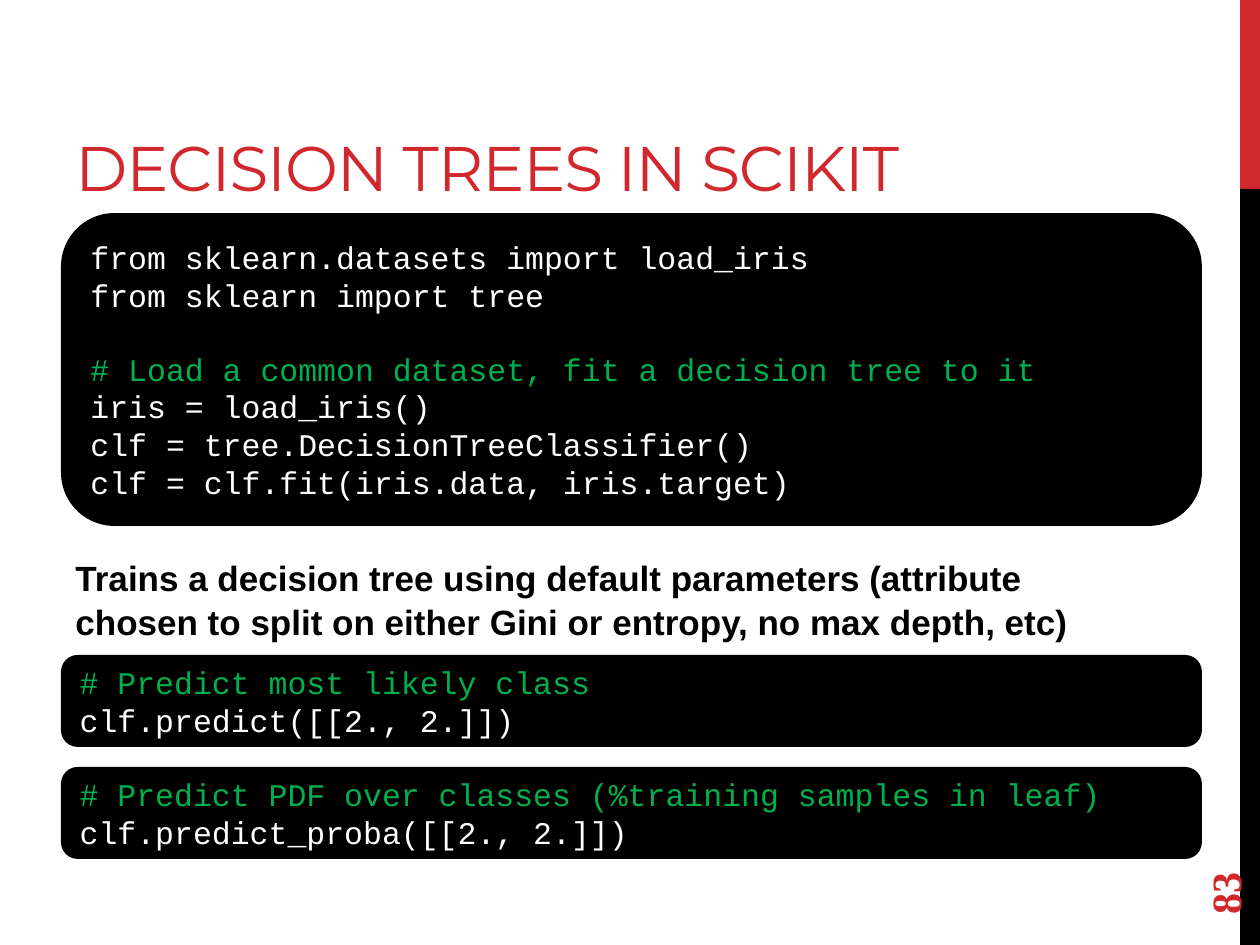
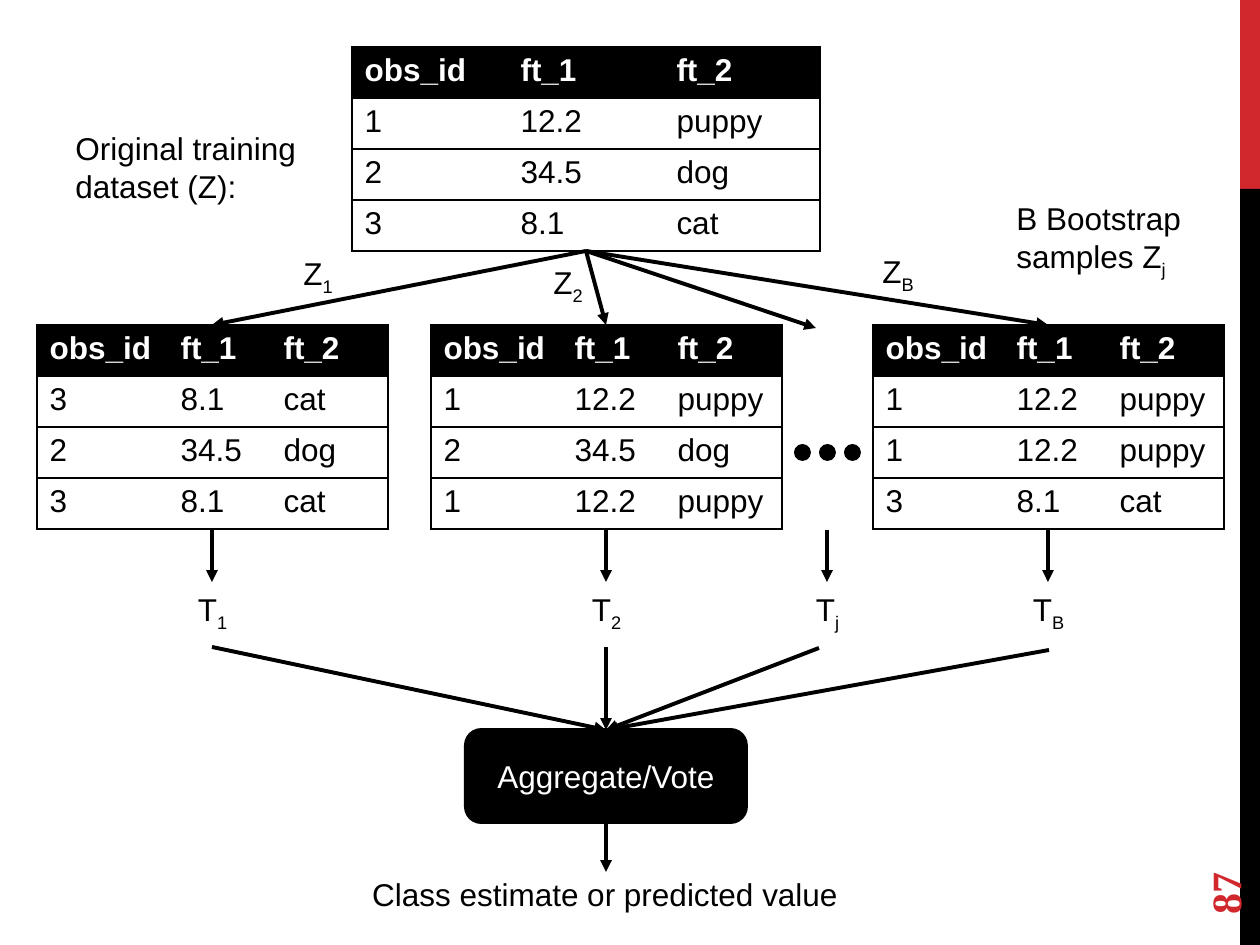
"""Build two lecture slides: decision trees in code and a bootstrap aggregation diagram."""
from dataclasses import dataclass

from lxml.etree import SubElement
from pptx import Presentation
from pptx.dml.color import RGBColor
from pptx.enum.shapes import MSO_CONNECTOR, MSO_SHAPE
from pptx.enum.text import MSO_ANCHOR, PP_ALIGN
from pptx.oxml.ns import qn
from pptx.util import Emu, Pt


@dataclass(frozen=True)
class Theme:
    red: str = "D1282E"
    black: str = "000000"
    white: str = "FFFFFF"
    green: str = "00B050"
    body: str = "Arial"
    code: str = "Courier New"
    heading: str = "Montserrat"
    numeral: str = "Times New Roman"
    title_size: int = 36
    number_size: int = 24
    lead_size: int = 20
    text_size: int = 18
    code_line: float = 20.4
    stroke: float = 2.25
    border: int = 1


THEME = Theme()
PX_PER_INCH = 126
SLIDE_SIZE = (1260, 945)
BANDS = [((1240, 0, 20, 189), THEME.red), ((1240, 189, 20, 756), THEME.black)]

TITLE = "DECISION TREES IN SCIKIT"
LEAD = ("Trains a decision tree using default parameters (attribute chosen "
        "to split on either Gini or entropy, no max depth, etc)")
CODE_LEFT, CODE_WIDTH = 63, 1137
CODE_PANELS = [
    (215, 309, """from sklearn.datasets import load_iris
from sklearn import tree

# Load a common dataset, fit a decision tree to it
iris = load_iris()
clf = tree.DecisionTreeClassifier()
clf = clf.fit(iris.data, iris.target)"""),
    (657, 88, """# Predict most likely class
clf.predict([[2., 2.]])"""),
    (769, 88, """# Predict PDF over classes (%training samples in leaf)
clf.predict_proba([[2., 2.]])"""),
]

HEADER = ("obs_id", "ft_1", "ft_2")
OBSERVATIONS = {1: ("1", "12.2", "puppy"), 2: ("2", "34.5", "dog"), 3: ("3", "8.1", "cat")}
ROW_HEIGHT = 51
DATASET_LEFT, DATASET_TOP, DATASET_COLUMNS = 352, 47, (156, 156, 156)
SAMPLE_TOP, SAMPLE_COLUMNS = 325, (131, 103, 117)
SAMPLES = [
    (37, (3, 2, 3)),
    (431, (1, 2, 1)),
    (873, (1, 1, 3)),
]
SAMPLE_LABELS = [("1", 318, 248), ("2", 568, 257), ("B", 898, 246)]
ELLIPSIS_TARGET = (816, 328)
TREES = [("1", 212, 647, 212), ("2", 606, 647, 606), ("j", 827, 648, 819), ("B", 1048, 650, 1049)]
TREE_ARROW, TREE_TOP = (530, 582), 584
DOT_LEFT, DOT_TOP, DOT_STEP, DOT_SIZE, DOT_COUNT = 796, 446, 25, 13, 3
VOTE_BOX = (466, 730, 280, 92)
RESULT_TOP = 872
LABEL_HEIGHT = 50


def px(length):
    return Emu(round(length * 914400 / PX_PER_INCH))


def rgb(color):
    return RGBColor.from_string(color)


def write(frame, text, *, size=THEME.text_size, font=THEME.body, color=THEME.black,
          bold=False, align=PP_ALIGN.LEFT, anchor=MSO_ANCHOR.TOP, subscript="",
          comment=None, tracking=None, line_spacing=None):
    frame.word_wrap = True
    frame.vertical_anchor = anchor
    para, gap = None, 0
    for line in text.split("\n"):
        if not line:
            gap += THEME.code_line
            continue
        para = frame.add_paragraph() if para else frame.paragraphs[0]
        para.alignment = align
        if gap:
            para.space_before = Pt(gap)
            gap = 0
        if line_spacing:
            para.line_spacing = line_spacing
        for part, lowered in ((line, False), (subscript, True)):
            if not part:
                continue
            span = para.add_run()
            span.text = part
            span.font.size, span.font.name, span.font.bold = Pt(size), font, bold
            is_comment = comment and line.startswith("#")
            span.font.color.rgb = rgb(comment if is_comment else color)
            if lowered:
                span._r.get_or_add_rPr().set("baseline", "-25000")
            if tracking:
                span._r.get_or_add_rPr().set("spc", str(tracking))


def add_text(page, bounds, text, **style):
    box = page.shapes.add_textbox(*map(px, bounds))
    write(box.text_frame, text, **style)
    return box


def add_centered(page, center, top, width, text, **style):
    bounds = (center - width // 2, top, width, LABEL_HEIGHT)
    return add_text(page, bounds, text, align=PP_ALIGN.CENTER, **style)


def add_block(page, kind, bounds, color, outlined=True):
    shape = page.shapes.add_shape(kind, *map(px, bounds))
    shape.shadow.inherit = False
    shape.fill.solid()
    shape.fill.fore_color.rgb = rgb(color)
    if outlined:
        shape.line.color.rgb = rgb(color)
        shape.line.width = Pt(THEME.stroke)
    else:
        shape.line.fill.background()
    return shape


def add_arrow(page, start, end):
    arrow = page.shapes.add_connector(MSO_CONNECTOR.STRAIGHT, *map(px, (*start, *end)))
    arrow.line.color.rgb = rgb(THEME.black)
    arrow.line.width = Pt(THEME.stroke)
    SubElement(arrow.line._get_or_add_ln(), qn("a:tailEnd"), type="triangle")
    SubElement(arrow._element.spPr, qn("a:effectLst"))
    return arrow


def set_borders(cell, visible):
    properties = cell._tc.get_or_add_tcPr()
    for side in "LRTB":
        line = SubElement(properties, qn(f"a:ln{side}"), w=str(Pt(THEME.border)))
        if side in visible:
            fill = SubElement(line, qn("a:solidFill"))
            SubElement(fill, qn("a:srgbClr"), val=THEME.black)
        else:
            SubElement(line, qn("a:noFill"))


def add_observations(page, left, top, widths, ids):
    rows = [HEADER] + [OBSERVATIONS[number] for number in ids]
    bounds = (left, top, sum(widths), ROW_HEIGHT * len(rows))
    table = page.shapes.add_table(len(rows), len(widths), *map(px, bounds)).table
    for column, width in zip(table.columns, widths):
        column.width = px(width)
    for r, row in enumerate(rows):
        table.rows[r].height = px(ROW_HEIGHT)
        for c, value in enumerate(row):
            cell = table.cell(r, c)
            visible = "TB" + "L" * (c == 0) + "R" * (c == len(widths) - 1)
            set_borders(cell, visible)
            cell.fill.solid()
            cell.fill.fore_color.rgb = rgb(THEME.white if r else THEME.black)
            write(cell.text_frame, value, bold=r == 0,
                  color=THEME.black if r else THEME.white)
    return left + sum(widths) // 2, top + bounds[3]


def new_page(deck, number):
    page = deck.slides.add_slide(deck.slide_layouts[6])
    for bounds, color in BANDS:
        add_block(page, MSO_SHAPE.RECTANGLE, bounds, color, outlined=False)
    box = add_text(page, (1134, 811, 181, 50), number, size=THEME.number_size,
                   font=THEME.numeral, color=THEME.red, bold=True, anchor=MSO_ANCHOR.MIDDLE)
    box.rotation = 270
    return page


def build_code_page(deck):
    page = new_page(deck, "83")
    add_text(page, (63, 21, 1050, 189), TITLE, size=THEME.title_size, font=THEME.heading,
             color=THEME.red, anchor=MSO_ANCHOR.BOTTOM, tracking=-60)
    add_text(page, (63, 548, 1050, 103), LEAD, size=THEME.lead_size, bold=True,
             line_spacing=1.05)
    for top, height, code in CODE_PANELS:
        panel = add_block(page, MSO_SHAPE.ROUNDED_RECTANGLE,
                          (CODE_LEFT, top, CODE_WIDTH, height), THEME.black)
        write(panel.text_frame, code, font=THEME.code, color=THEME.white,
              comment=THEME.green, anchor=MSO_ANCHOR.MIDDLE)


def build_bagging_page(deck):
    page = new_page(deck, "87")
    source = add_observations(page, DATASET_LEFT, DATASET_TOP, DATASET_COLUMNS, (1, 2, 3))
    add_text(page, (63, 123, 263, 89), "Original training dataset (Z):")
    add_text(page, (1004, 193, 233, 89), "B Bootstrap samples Z", subscript="j")

    for left, ids in SAMPLES:
        center, _ = add_observations(page, left, SAMPLE_TOP, SAMPLE_COLUMNS, ids)
        add_arrow(page, source, (center, SAMPLE_TOP))
    add_arrow(page, source, ELLIPSIS_TARGET)
    for index, center, top in SAMPLE_LABELS:
        add_centered(page, center, top, 72, "Z", subscript=index)
    for i in range(DOT_COUNT):
        bounds = (DOT_LEFT + i * DOT_STEP, DOT_TOP, DOT_SIZE, DOT_SIZE)
        add_block(page, MSO_SHAPE.OVAL, bounds, THEME.black)

    vote = add_block(page, MSO_SHAPE.ROUNDED_RECTANGLE, VOTE_BOX, THEME.black)
    write(vote.text_frame, "Aggregate/Vote", color=THEME.white,
          align=PP_ALIGN.CENTER, anchor=MSO_ANCHOR.MIDDLE)
    left, top, width, height = VOTE_BOX
    middle = left + width // 2
    for index, center, vote_start, vote_x in TREES:
        add_arrow(page, (center, TREE_ARROW[0]), (center, TREE_ARROW[1]))
        add_centered(page, center, TREE_TOP, 107, "T", subscript=index)
        add_arrow(page, (vote_x, vote_start), (middle, top)).end_connect(vote, 0)
    result = add_arrow(page, (middle, top + height), (middle, RESULT_TOP))
    result.begin_connect(vote, 2)
    add_centered(page, 605, 869, 564, "Class estimate or predicted value")


def main():
    deck = Presentation()
    deck.slide_width, deck.slide_height = map(px, SLIDE_SIZE)
    build_code_page(deck)
    build_bagging_page(deck)
    deck.save("out.pptx")


if __name__ == "__main__":
    main()
